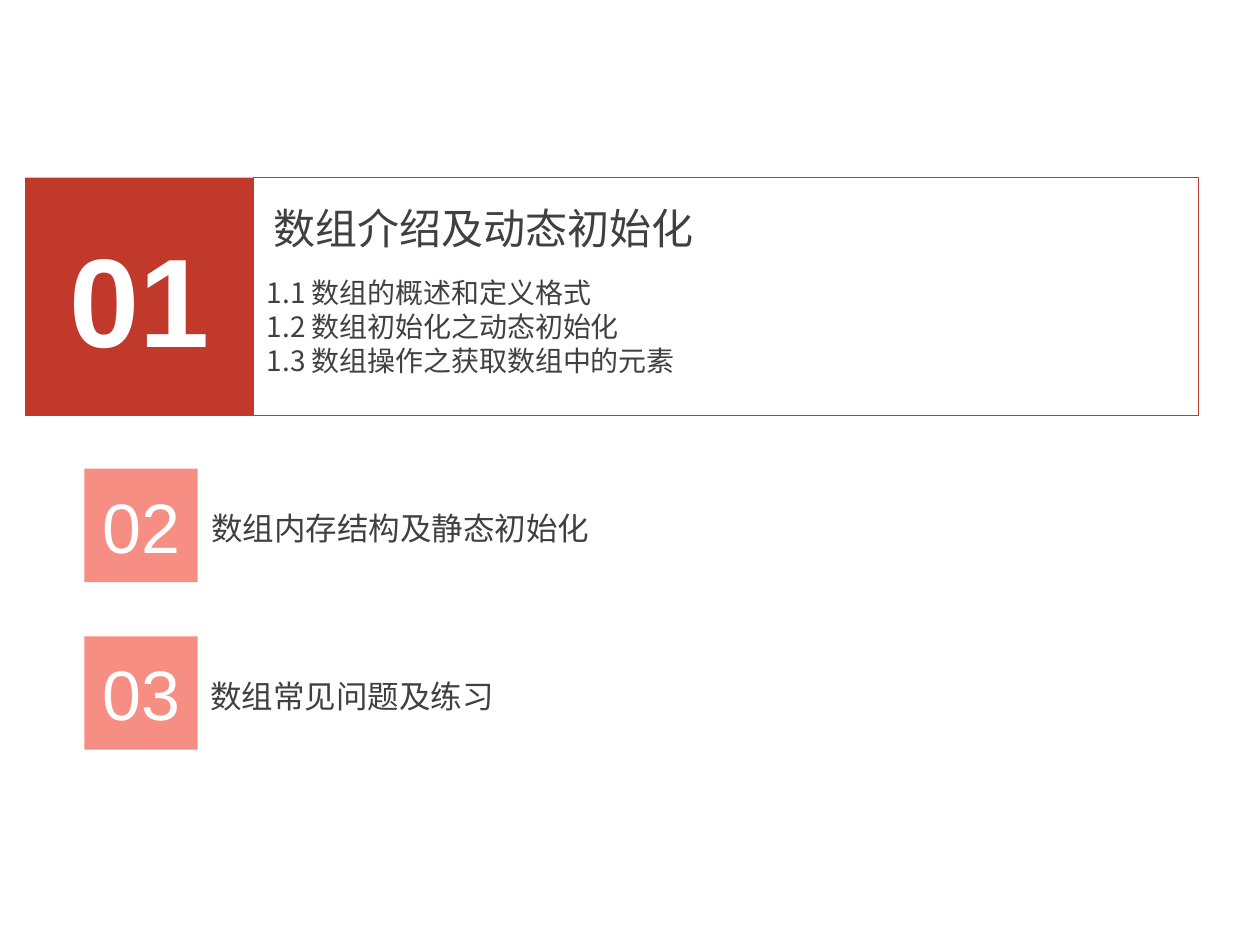
from lxml.etree import SubElement
from pptx import Presentation
from pptx.dml.color import RGBColor
from pptx.enum.shapes import MSO_SHAPE
from pptx.enum.text import MSO_ANCHOR, PP_ALIGN
from pptx.oxml.ns import qn
from pptx.util import Inches, Pt

COLORS = {"red": "C0392B", "coral": "F47264", "text": "404040", "white": "FFFFFF"}
LATIN, CJK = "Arial", "Noto Sans CJK SC"


def rgb(name):
    return RGBColor.from_string(COLORS[name])


def write(tf, text, size=18, font=CJK, color="text", bold=False,
          align=PP_ALIGN.LEFT, spacing=None):
    """Fill a text frame, one paragraph for each line of text."""
    for i, line in enumerate(text.split("\n")):
        p = tf.paragraphs[0] if i == 0 else tf.add_paragraph()
        p.alignment = align
        if spacing:
            p.line_spacing = Pt(spacing)
        r = p.add_run()
        r.text = line
        r.font.size = Pt(size)
        r.font.name = font
        r.font.bold = bold
        r.font.color.rgb = rgb(color)
        if font == CJK:
            SubElement(r.font._element, qn("a:ea")).set("typeface", font)


class AgendaSlide:
    def __init__(self, prs):
        self.slide = prs.slides.add_slide(prs.slide_layouts[6])

    def rect(self, x, y, w, h, fill=None, alpha=None, line=None):
        sp = self.slide.shapes.add_shape(
            MSO_SHAPE.RECTANGLE, Inches(x), Inches(y), Inches(w), Inches(h))
        sp.shadow.inherit = False
        if fill:
            sp.fill.solid()
            sp.fill.fore_color.rgb = rgb(fill)
        else:
            sp.fill.background()
        if alpha:
            color = sp._element.spPr.find(qn("a:solidFill"))[0]
            SubElement(color, qn("a:alpha")).set("val", str(alpha * 1000))
        if line:
            sp.line.color.rgb = rgb(line)
            sp.line.width = Pt(0.5)
        else:
            sp.line.fill.background()
        return sp

    def number(self, text, x, y, w, h, fill, size, alpha=None, bold=False):
        tf = self.rect(x, y, w, h, fill, alpha).text_frame
        tf.vertical_anchor = MSO_ANCHOR.MIDDLE
        write(tf, text, size=size, font=LATIN, color="white", bold=bold,
              align=PP_ALIGN.CENTER)

    def label(self, text, x, y, w, h, size, wrap=False):
        tf = self.slide.shapes.add_textbox(
            Inches(x), Inches(y), Inches(w), Inches(h)).text_frame
        tf.word_wrap = wrap
        tf.margin_top = Inches(0.07)
        write(tf, text, size=size, spacing=size * 1.2)


def main():
    prs = Presentation()
    prs.slide_width, prs.slide_height = Inches(10), Inches(7.5)
    s = AgendaSlide(prs)

    s.number("01", 0.2, 1.41, 1.81, 1.89, "red", 72, bold=True)
    s.label("数组介绍及动态初始化", 2.07, 1.54, 3.57, 0.91, 24)
    s.label("1.1 数组的概述和定义格式\n"
            "1.2 数组初始化之动态初始化\n"
            "1.3 数组操作之获取数组中的元素", 2.02, 2.12, 8.11, 1.18, 16, wrap=True)
    s.rect(2.01, 1.41, 7.5, 1.89, line="red")

    chapters = [("02", "数组内存结构及静态初始化", 1.58, 3.23),
                ("03", "数组常见问题及练习", 1.57, 2.47)]
    for i, (number, title, x, w) in enumerate(chapters):
        y = 3.72 + i * 1.33
        s.number(number, 0.67, y, 0.9, 0.9, "coral", 40, alpha=80)
        s.label(title, x, y + 0.25, w, 0.4, 18)

    prs.save("out.pptx")


if __name__ == "__main__":
    main()
